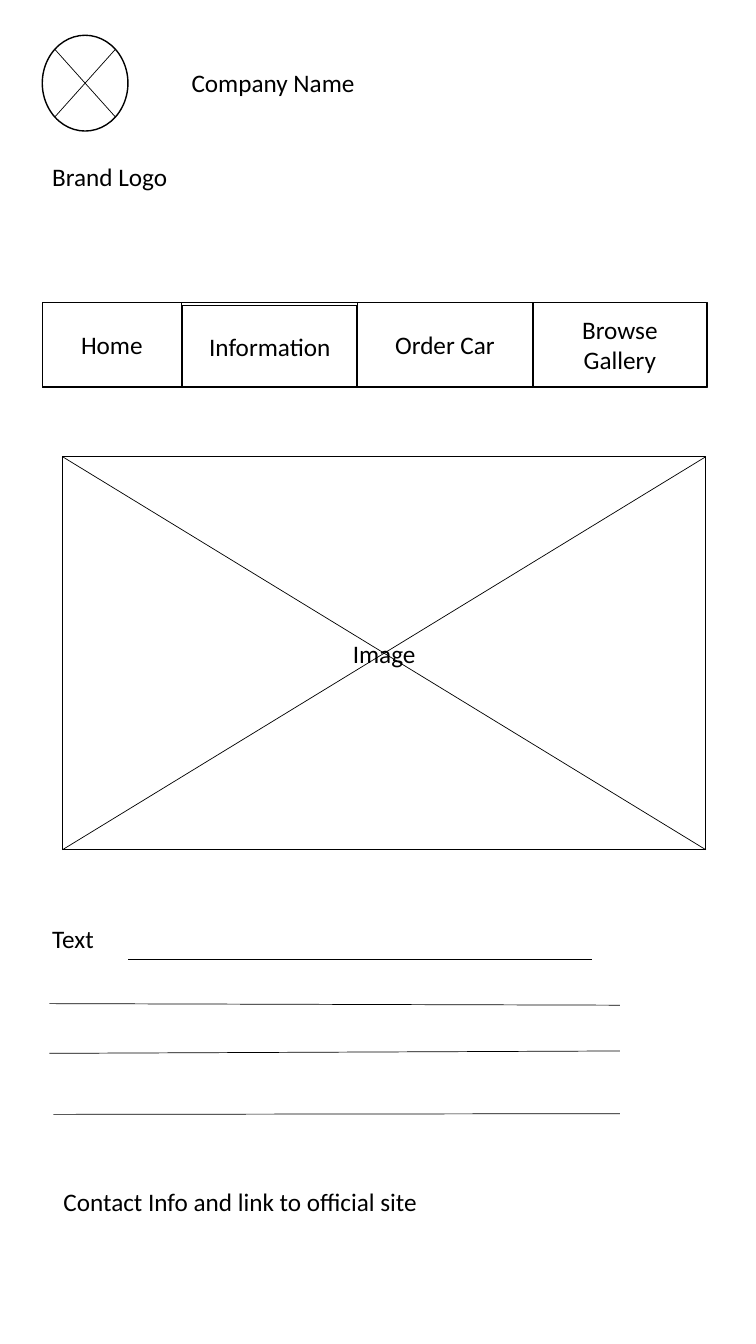
from dataclasses import dataclass
from math import sqrt

from lxml import etree
from pptx import Presentation
from pptx.dml.color import RGBColor
from pptx.enum.shapes import MSO_CONNECTOR, MSO_SHAPE
from pptx.enum.text import MSO_ANCHOR, MSO_AUTO_SIZE, PP_ALIGN
from pptx.oxml.ns import qn
from pptx.util import Pt

BLACK = RGBColor(0, 0, 0)
WHITE = RGBColor(255, 255, 255)
FONT = "Calibri"
RECT, OVAL = MSO_SHAPE.RECTANGLE, MSO_SHAPE.OVAL
STRAIGHT = MSO_CONNECTOR.STRAIGHT
LEFT, CENTER = PP_ALIGN.LEFT, PP_ALIGN.CENTER
TOP, MIDDLE = MSO_ANCHOR.TOP, MSO_ANCHOR.MIDDLE
NO_FIT = MSO_AUTO_SIZE.NONE
LABEL_H = 29
OVAL_INSET = (1 - sqrt(0.5)) / 2  # where a diagonal meets the ellipse


@dataclass
class Box:
    x: float
    y: float
    w: float
    h: float
    text: str = ""


@dataclass
class Rule:
    x1: float
    y1: float
    x2: float
    y2: float


TITLE = Box(129.6, 44.6, 336.2, LABEL_H, "Company Name")
LOGO = Box(30.2, 25.2, 61.2, 68.4)
IMAGE = Box(44.6, 326.2, 459.6, 280.8, "Image")
LABELS = [
    Box(30.2, 111.6, 99.4, LABEL_H, "Brand Logo"),
    Box(30.2, 655.9, 162, LABEL_H, "Text"),
    Box(38.2, 843.8, 368.6, LABEL_H, "Contact Info and link to official site"),
]
NAVIGATION = [
    Box(30.2, 216, 475.2, 60.5),
    Box(30.2, 216, 99.4, 60.5, "Home"),
    Box(130.4, 218.4, 124.6, 57.9, "Information"),
    Box(255.6, 216, 124.6, 60.5, "Order Car"),
    Box(380.9, 216, 123.8, 60.5, "Browse Gallery"),
]
TEXT_RULES = [
    Rule(91.6, 685.4, 423.2, 685.4),
    Rule(35.3, 716.9, 442.8, 718),
    Rule(35.3, 752.4, 442.8, 750.7),
    Rule(38.2, 796, 442.8, 795.5),
]


def write(sp, text: str, align: PP_ALIGN, anchor: MSO_ANCHOR) -> None:
    tf = sp.text_frame
    tf.word_wrap = True
    tf.auto_size = NO_FIT
    tf.vertical_anchor = anchor
    p = tf.paragraphs[0]
    p.text = text
    p.alignment = align
    p.font.name = FONT
    p.font.size = Pt(18)
    p.font.color.rgb = BLACK


def add_title(slide, box: Box) -> None:
    sp = slide.shapes.title
    sp.left, sp.top = Pt(box.x), Pt(box.y)
    sp.width, sp.height = Pt(box.w), Pt(box.h)
    write(sp, box.text, LEFT, TOP)


def add_label(slide, box: Box) -> None:
    sp = slide.shapes.add_textbox(Pt(box.x), Pt(box.y), Pt(box.w), Pt(box.h))
    write(sp, box.text, LEFT, TOP)


def add_frame(slide, box: Box, kind: MSO_SHAPE = RECT) -> None:
    sp = slide.shapes.add_shape(kind, Pt(box.x), Pt(box.y), Pt(box.w), Pt(box.h))
    sp.shadow.inherit = False
    sp.fill.solid()
    sp.fill.fore_color.rgb = WHITE
    sp.line.color.rgb = BLACK
    sp.line.width = Pt(1)
    if box.text:
        write(sp, box.text, CENTER, MIDDLE)


def add_rule(slide, rule: Rule) -> None:
    line = slide.shapes.add_connector(
        STRAIGHT, Pt(rule.x1), Pt(rule.y1), Pt(rule.x2), Pt(rule.y2))
    line.line.color.rgb = BLACK
    line.line.width = Pt(0.5)
    etree.SubElement(line._element.spPr, qn("a:effectLst"))


def add_cross(slide, box: Box, inset: float = 0) -> None:
    left, right = box.x + box.w * inset, box.x + box.w * (1 - inset)
    top, bottom = box.y + box.h * inset, box.y + box.h * (1 - inset)
    add_rule(slide, Rule(left, top, right, bottom))
    add_rule(slide, Rule(left, bottom, right, top))


def main() -> None:
    prs = Presentation()
    prs.slide_width, prs.slide_height = Pt(540), Pt(960)
    slide = prs.slides.add_slide(prs.slide_layouts[5])

    # Header
    add_title(slide, TITLE)
    add_frame(slide, LOGO, OVAL)
    add_cross(slide, LOGO, OVAL_INSET)

    # Navigation bar
    for box in NAVIGATION:
        add_frame(slide, box)

    # Image placeholder
    add_frame(slide, IMAGE)
    add_cross(slide, IMAGE)

    # Text lines and labels
    for rule in TEXT_RULES:
        add_rule(slide, rule)
    for box in LABELS:
        add_label(slide, box)

    prs.save("out.pptx")


if __name__ == "__main__":
    main()
